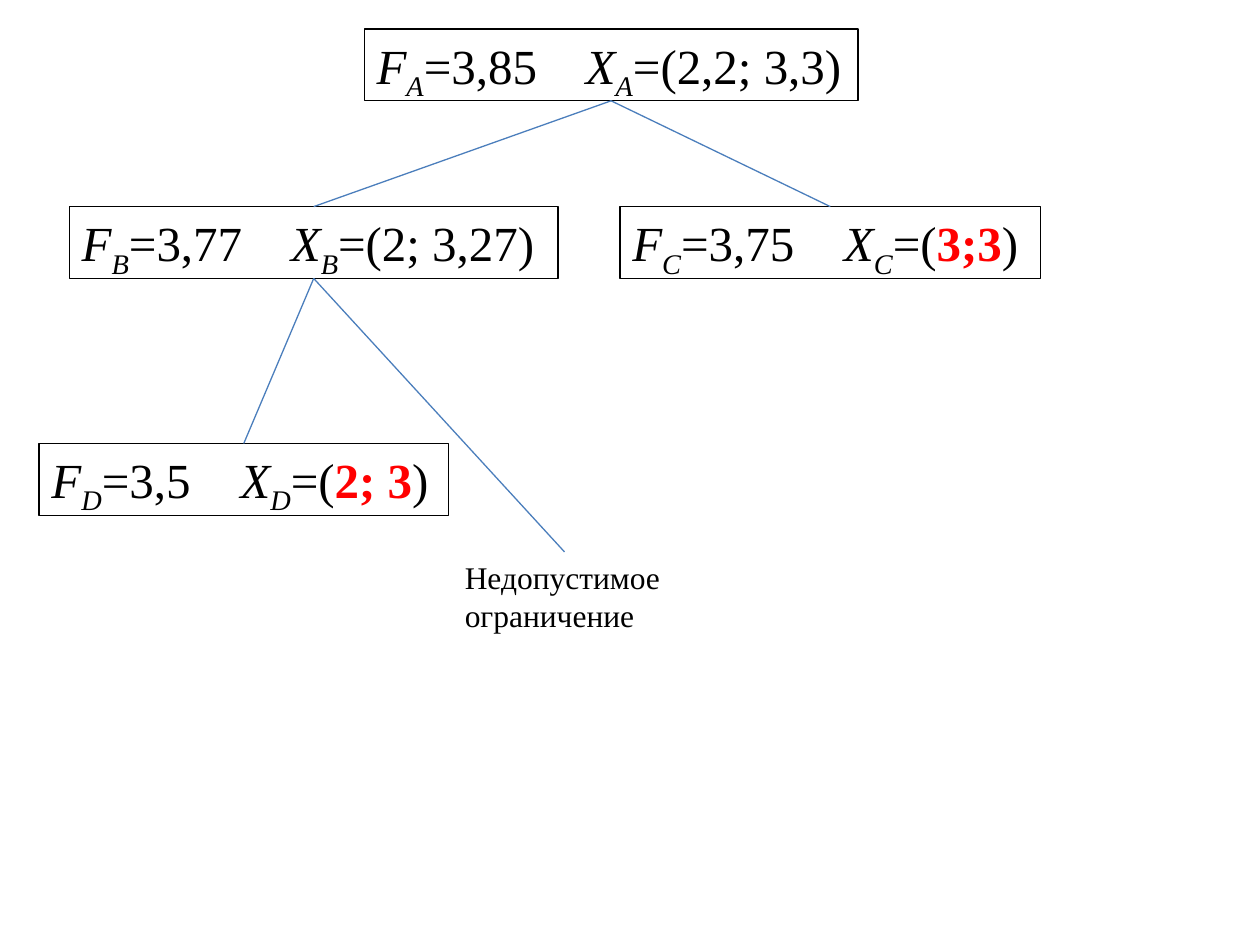
from dataclasses import dataclass

from lxml import etree
from pptx import Presentation
from pptx.dml.color import RGBColor
from pptx.enum.shapes import MSO_CONNECTOR, MSO_SHAPE
from pptx.enum.text import MSO_ANCHOR, PP_ALIGN
from pptx.oxml.ns import qn
from pptx.util import Inches, Pt

RECTANGLE = MSO_SHAPE.RECTANGLE
STRAIGHT = MSO_CONNECTOR.STRAIGHT
LEFT, TOP = PP_ALIGN.LEFT, MSO_ANCHOR.TOP
TOP_SIDE, BOTTOM_SIDE = 0, 2
BLANK_LAYOUT = 6
COLUMNS, ROWS = 100, 75
NODE_ROWS = 5.7


@dataclass(frozen=True)
class Theme:
    font: str = "Times New Roman"
    ink: RGBColor = RGBColor(0x00, 0x00, 0x00)
    integer_solution: RGBColor = RGBColor(0xFF, 0x00, 0x00)
    branch: RGBColor = RGBColor(0x4B, 0x7E, 0xBC)
    node_size: Pt = Pt(28)
    note_size: Pt = Pt(18)
    line_width: Pt = Pt(0.75)


class TreeSlide:
    """Draws a branch-and-bound tree on a grid of COLUMNS by ROWS."""

    def __init__(self, presentation, theme):
        self.theme = theme
        self.column = presentation.slide_width / COLUMNS
        self.row = presentation.slide_height / ROWS
        layout = presentation.slide_layouts[BLANK_LAYOUT]
        self.shapes = presentation.slides.add_slide(layout).shapes

    def place(self, left, top, width, height):
        return (round(left * self.column), round(top * self.row),
                round(width * self.column), round(height * self.row))

    def run(self, paragraph, text, size, italic=False, subscript=False, integer=False):
        run = paragraph.add_run()
        run.text = text
        font = run.font
        font.name, font.size = self.theme.font, size
        font.italic, font.bold = italic, integer
        font.color.rgb = self.theme.integer_solution if integer else self.theme.ink
        if subscript:
            run._r.get_or_add_rPr().set("baseline", "-25000")

    def variable(self, paragraph, letter, index):
        size = self.theme.node_size
        self.run(paragraph, letter, size, italic=True)
        self.run(paragraph, index, size, italic=True, subscript=True)

    def tab_stop(self, paragraph, columns):
        tabs = etree.SubElement(paragraph._p.get_or_add_pPr(), qn("a:tabLst"))
        etree.SubElement(tabs, qn("a:tab"), pos=str(round(columns * self.column)), algn="l")

    def node(self, index, left, top, width, tab, value, point, integer=False):
        box = self.shapes.add_shape(RECTANGLE, *self.place(left, top, width, NODE_ROWS))
        box.shadow.inherit = False
        box.fill.background()
        box.line.color.rgb = self.theme.ink
        box.line.width = self.theme.line_width
        frame = box.text_frame
        frame.word_wrap = True
        frame.vertical_anchor = TOP
        formula = frame.paragraphs[0]
        formula.alignment = LEFT
        self.tab_stop(formula, tab)
        size = self.theme.node_size
        self.variable(formula, "F", index)
        self.run(formula, f"={value}\t", size)
        self.variable(formula, "X", index)
        self.run(formula, "=(", size)
        self.run(formula, point, size, integer=integer)
        self.run(formula, ")", size)
        return box

    def note(self, lines, left, top, width, height):
        box = self.shapes.add_textbox(*self.place(left, top, width, height))
        frame = box.text_frame
        frame.word_wrap = True
        for number, line in enumerate(lines):
            paragraph = frame.add_paragraph() if number else frame.paragraphs[0]
            self.run(paragraph, line, self.theme.note_size)
        return box

    def branch(self, parent, child):
        link = self.shapes.add_connector(STRAIGHT, 0, 0, 0, 0)
        link.begin_connect(parent, BOTTOM_SIDE)
        link.end_connect(child, TOP_SIDE)
        link.line.color.rgb = self.theme.branch
        link.line.width = self.theme.line_width
        etree.SubElement(link._element.spPr, qn("a:effectLst"))


def main():
    presentation = Presentation()
    presentation.slide_width, presentation.slide_height = Inches(10), Inches(7.5)
    tree = TreeSlide(presentation, Theme())

    root = tree.node("A", 28.9, 2.3, 39.2, 16.6, "3,85", "2,2; 3,3")
    left_node = tree.node("B", 5.5, 16.4, 38.8, 16.6, "3,77", "2; 3,27")
    right_node = tree.node("C", 49.2, 16.4, 33.4, 16.8, "3,75", "3;3", integer=True)
    leaf = tree.node("D", 3.1, 35.2, 32.5, 15, "3,5", "2; 3", integer=True)
    infeasible = tree.note(("Недопустимое", "ограничение"), 35.9, 43.8, 17.8, 7.1)

    for parent, child in ((root, left_node), (root, right_node),
                          (left_node, leaf), (left_node, infeasible)):
        tree.branch(parent, child)

    presentation.save("out.pptx")


if __name__ == "__main__":
    main()
